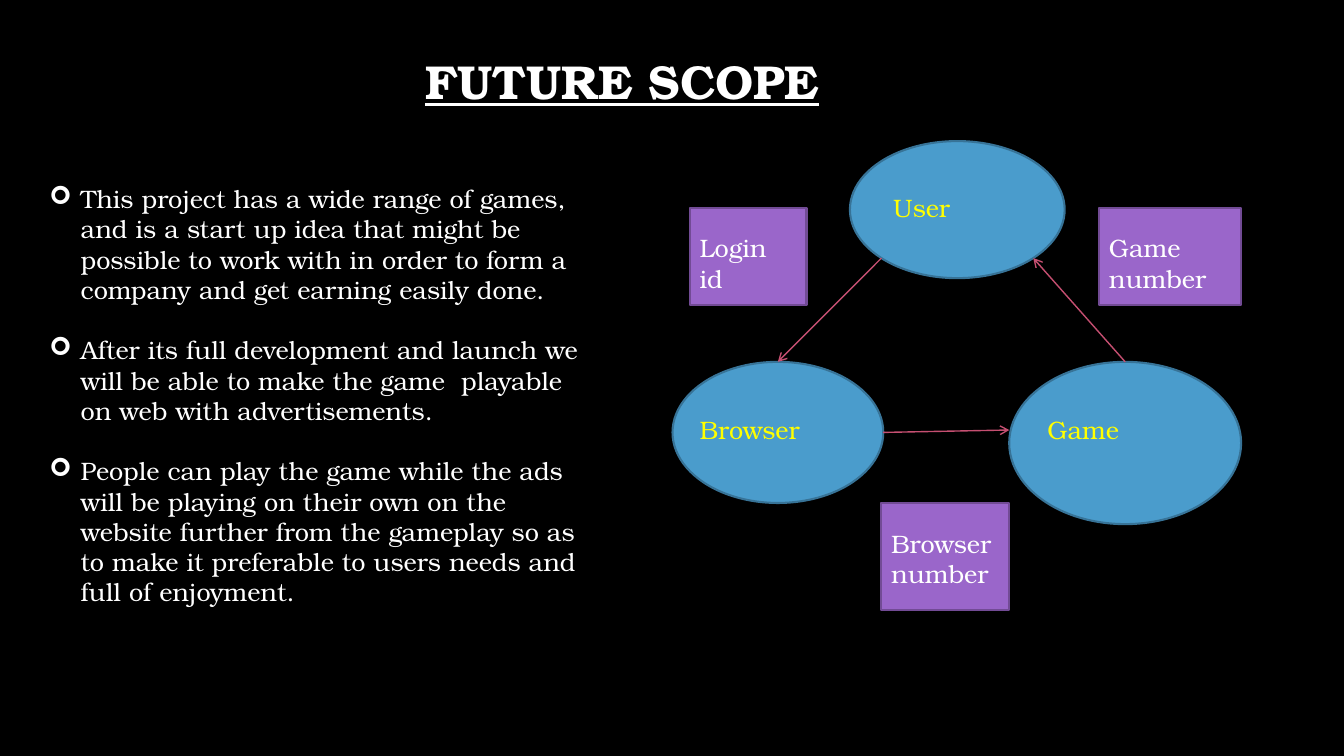
from lxml import etree
from pptx import Presentation
from pptx.dml.color import RGBColor
from pptx.enum import shapes, text
from pptx.oxml.ns import qn
from pptx.util import Inches, Pt

FONT = "TeX Gyre Bonum"
BLACK = RGBColor(0x00, 0x00, 0x00)
WHITE = RGBColor(0xFF, 0xFF, 0xFF)
YELLOW = RGBColor(0xFF, 0xFF, 0x00)
BLUE = RGBColor(0x4A, 0x9C, 0xCC)
DARK_BLUE = RGBColor(0x37, 0x73, 0x97)
PURPLE = RGBColor(0x9A, 0x66, 0xCA)
DARK_PURPLE = RGBColor(0x72, 0x4B, 0x95)
PINK = RGBColor(0xC5, 0x4F, 0x71)

# Content
TITLE = "FUTURE SCOPE"
POINTS = [
    "This project has a wide range of games, and is a start up idea that might be "
    "possible to work with in order to form a company and get earning easily done.",
    "After its full development and launch we will be able to make the game  playable "
    "on web with advertisements.",
    "People can play the game while the ads will be playing on their own on the website "
    "further from the gameplay so as to make it preferable to users needs and full of "
    "enjoyment.",
]
# Name: (ellipse left, top, width, height), (caption left, top, width, height)
NODES = {
    "User": ((8.43, 1.4, 2.13, 1.36), (8.76, 1.86, 1.53, 0.4)),
    "Browser": ((6.67, 3.59, 2.09, 1.4), (6.84, 4.06, 1.59, 0.4)),
    "Game": ((10.01, 3.59, 2.3, 1.61), (10.29, 4.06, 1.54, 0.4)),
}
LABELS = [
    (["Login id"], (6.84, 2.06, 1.16, 0.97)),
    (["Browser", "number"], (8.74, 4.99, 1.27, 1.06)),
    (["Game number"], (10.9, 2.06, 1.41, 0.97)),
]
# Each end: node, then the fraction of its width and height
DIAGONAL = 0.5 ** 1.5  # offset of an ellipse's 45 degree point from its centre
ARROWS = [
    (("User", 0.5 - DIAGONAL, 0.5 + DIAGONAL), ("Browser", 0.5, 0)),
    (("Browser", 1, 0.5), ("Game", 0, 0.42)),
    (("Game", 0.5, 0), ("User", 0.5 + DIAGONAL, 0.5 + DIAGONAL)),
]


def box(lengths):
    return [Inches(length) for length in lengths]


def place(shape, lengths):
    shape.left, shape.top, shape.width, shape.height = box(lengths)


def write(frame, lines, color, size=18, align=text.PP_ALIGN.LEFT):
    frame.word_wrap = True
    frame.auto_size = text.MSO_AUTO_SIZE.NONE
    for index, line in enumerate(lines):
        paragraph = frame.add_paragraph() if index else frame.paragraphs[0]
        paragraph.alignment = align
        run = paragraph.add_run()
        run.text = line
        run.font.name, run.font.size = FONT, Pt(size)
        run.font.color.rgb = color


def add_box(kind, lengths, fill, line):
    shape = slide.shapes.add_shape(kind, *box(lengths))
    shape.shadow.inherit = False
    shape.fill.solid()
    shape.fill.fore_color.rgb = fill
    shape.line.color.rgb = line
    shape.line.width = Pt(1.5)
    return shape


def node_point(name, across, down):
    left, top, width, height = NODES[name][0]
    return box((left + across * width, top + down * height))


presentation = Presentation()
presentation.slide_width, presentation.slide_height = box((13.33, 7.5))
slide = presentation.slides.add_slide(presentation.slide_layouts[1])
slide.background.fill.solid()
slide.background.fill.fore_color.rgb = BLACK

# Title
title = slide.shapes.title
place(title, (0.51, 0.11, 11.32, 1.45))
write(title.text_frame, [TITLE], WHITE, 34, text.PP_ALIGN.CENTER)
title.text_frame.vertical_anchor = text.MSO_ANCHOR.MIDDLE
title_paragraph = title.text_frame.paragraphs[0]
title_paragraph.line_spacing = 0.9
title_paragraph.runs[0].font.bold = True
title_paragraph.runs[0].font.underline = True

# Bulleted list
body = slide.placeholders[1]
place(body, (0.39, 1.77, 5.49, 4.34))
write(body.text_frame, POINTS, WHITE)
for paragraph in body.text_frame.paragraphs:
    paragraph.space_before = Pt(0)
    paragraph.space_after = Pt(21.6)
    properties = paragraph._p.get_or_add_pPr()
    properties.set("marL", str(Inches(0.31)))
    properties.set("indent", str(Inches(-0.31)))
    etree.SubElement(properties, qn("a:buFont"), typeface="Wingdings")
    etree.SubElement(properties, qn("a:buChar"), char="➢")

# Ellipses with captions
for name, (ellipse, caption) in NODES.items():
    add_box(shapes.MSO_SHAPE.OVAL, ellipse, BLUE, DARK_BLUE)
    write(slide.shapes.add_textbox(*box(caption)).text_frame, [name], YELLOW)

# Arrows between ellipses
for start, end in ARROWS:
    arrow = slide.shapes.add_connector(
        shapes.MSO_CONNECTOR.STRAIGHT, *node_point(*start), *node_point(*end))
    arrow.line.color.rgb = PINK
    arrow.line.width = Pt(1)
    etree.SubElement(arrow.line._get_or_add_ln(), qn("a:tailEnd"), type="arrow")
    etree.SubElement(arrow._element.spPr, qn("a:effectLst"))

# Labels on the arrows
for lines, lengths in LABELS:
    label = add_box(shapes.MSO_SHAPE.RECTANGLE, lengths, PURPLE, DARK_PURPLE)
    write(label.text_frame, lines, WHITE)
    label.text_frame.vertical_anchor = text.MSO_ANCHOR.TOP
    label.text_frame.margin_top = Inches(0.25)

presentation.save("out.pptx")
